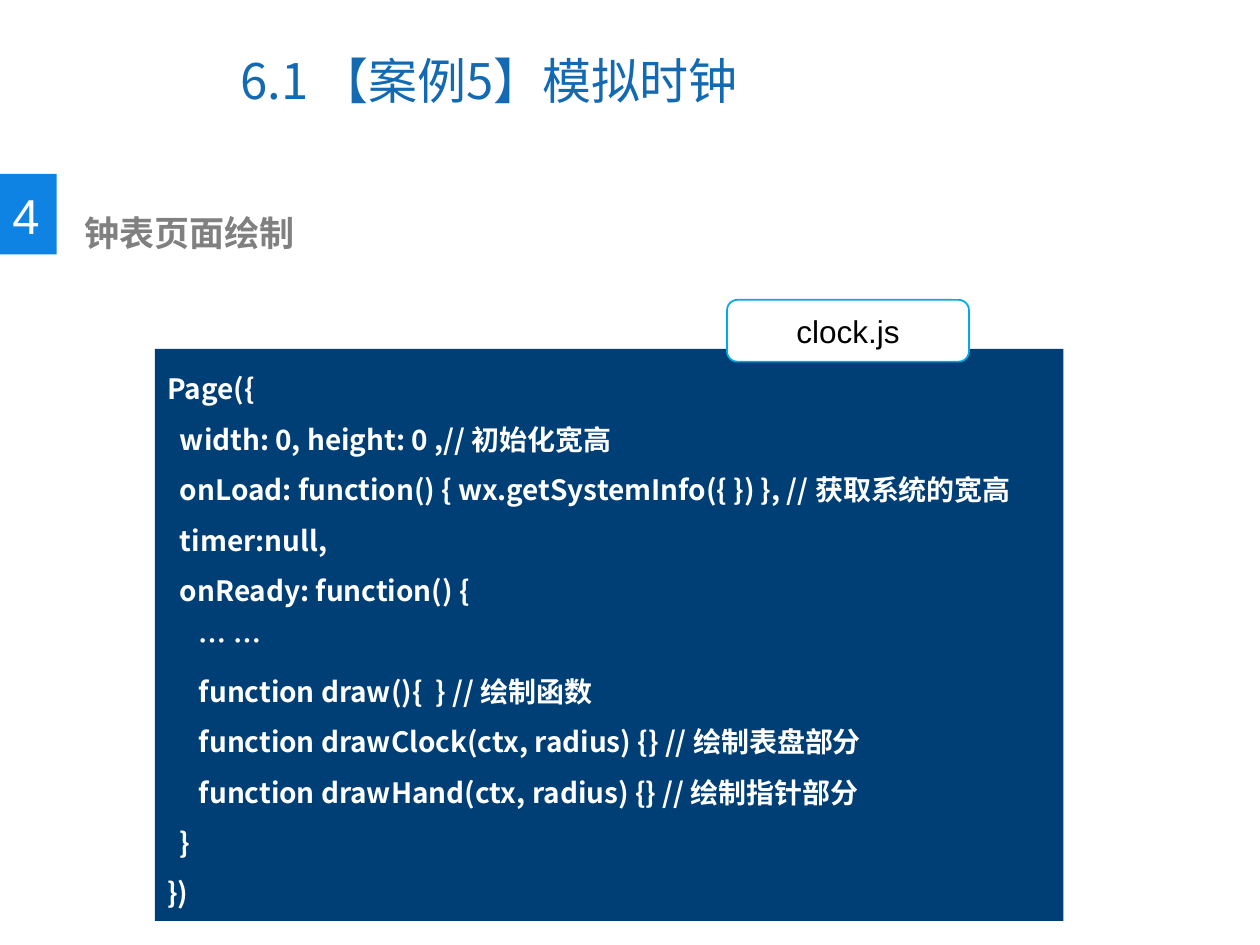
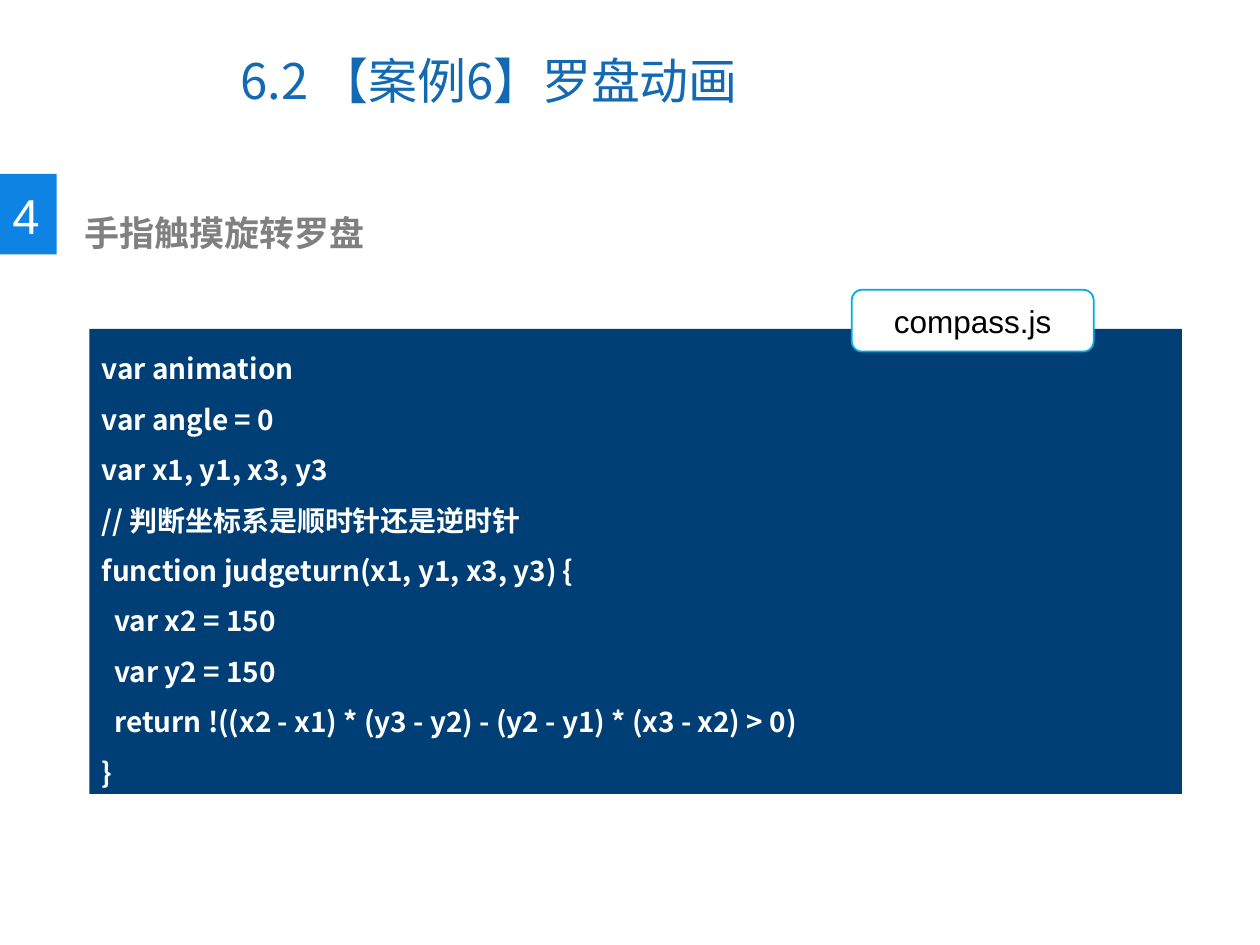
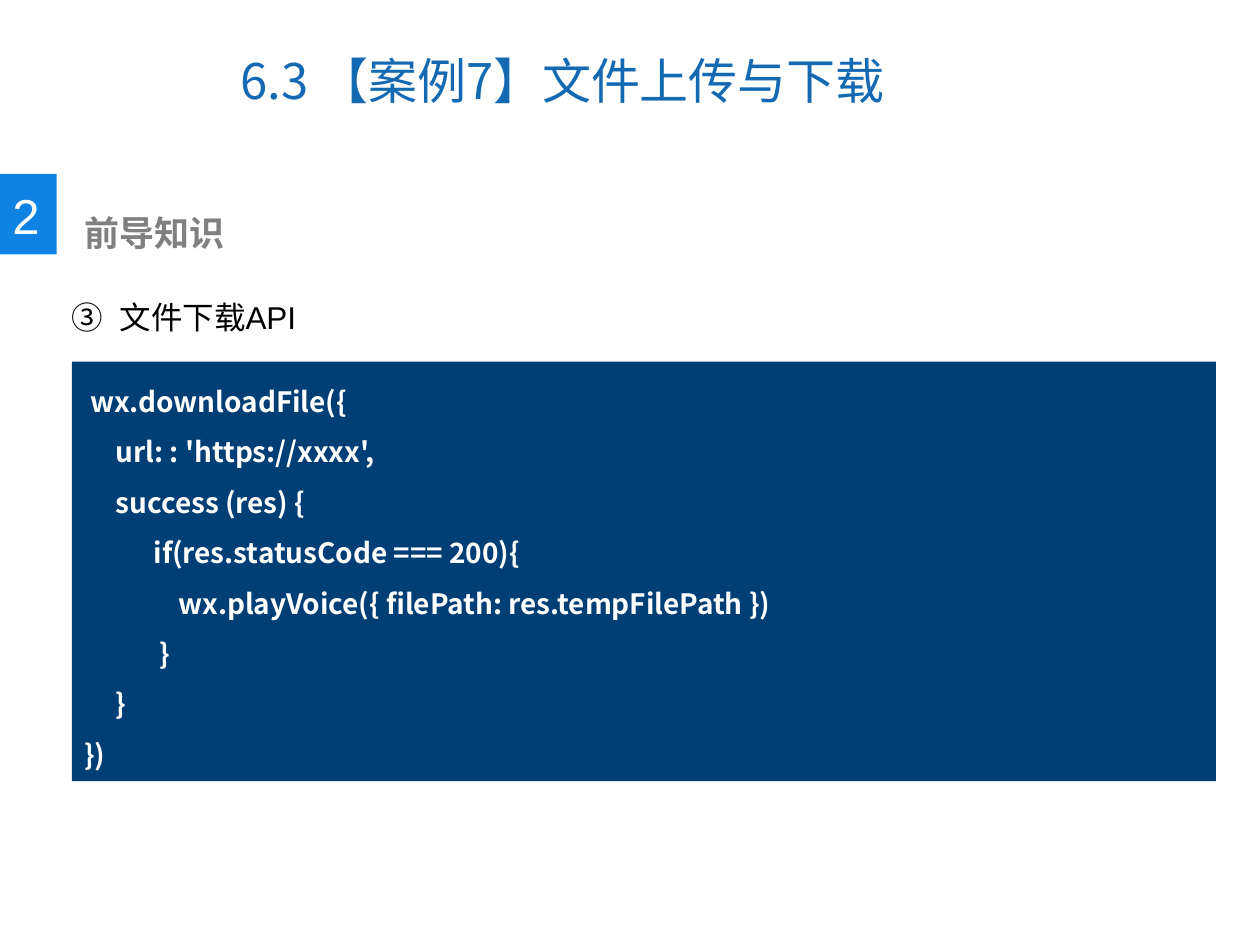
"""Build three code slides of a course on mini program cases."""
from dataclasses import dataclass, field

from lxml.etree import SubElement
from pptx import Presentation
from pptx.dml.color import RGBColor
from pptx.enum.shapes import MSO_SHAPE
from pptx.enum.text import MSO_ANCHOR, PP_ALIGN
from pptx.oxml.ns import qn
from pptx.shapes.autoshape import Shape
from pptx.slide import Slide
from pptx.util import Inches, Pt

COLORS = {
    "title": "1369B2",
    "badge": "0F83E3",
    "head": "808080",
    "code": "003F75",
    "edge": "00ACE6",
    "white": "FFFFFF",
    "black": "000000",
}
SANS = "Arial"
HAN = "Noto Sans CJK SC"
SPACE = 0.05

Box = tuple[float, float, float, float]


@dataclass(frozen=True)
class Style:
    """Look of a run and its line pitch in points."""
    size: int
    color: str
    font: str = SANS
    bold: bool = False
    pitch: float | None = None


TITLE = Style(28, "title", HAN, pitch=33)
BADGE = Style(28, "white")
HEAD = Style(20, "head", bold=True)
CODE = Style(16, "white", HAN, True, 28.8)
LABEL = Style(18, "black")
ITEM = Style(18, "black", pitch=43)


@dataclass(frozen=True)
class Line:
    """Code line with its indent in spaces."""
    text: str
    indent: int = 0


@dataclass(frozen=True)
class Page:
    """Content of one slide."""
    title: str
    number: str
    head: str
    panel: Box
    lines: list[Line] = field(default_factory=list)
    width: float = 5.16
    label: str = ""
    tab: tuple[float, float] = (0, 0)
    item: str = ""
    start: int = 1


PAGES = [
    Page("6.1 【案例5】模拟时钟", "4", "钟表页面绘制", (1.23, 2.77, 7.21, 4.54), [
        Line("Page({"),
        Line("width: 0, height: 0 ,// 初始化宽高", 2),
        Line("onLoad: function() { wx.getSystemInfo({ }) }, // 获取系统的宽高", 2),
        Line("timer:null,", 2),
        Line("onReady: function() {", 2),
        Line("… …", 5),
        Line("function draw(){  } // 绘制函数", 5),
        Line("function drawClock(ctx, radius) {} // 绘制表盘部分", 5),
        Line("function drawHand(ctx, radius) {} // 绘制指针部分", 5),
        Line("}", 2),
        Line("})"),
    ], label="clock.js", tab=(5.77, 2.38)),
    Page("6.2 【案例6】罗盘动画", "4", "手指触摸旋转罗盘", (0.71, 2.61, 8.67, 3.69), [
        Line("var animation"),
        Line("var angle = 0"),
        Line("var x1, y1, x3, y3"),
        Line("// 判断坐标系是顺时针还是逆时针"),
        Line("function judgeturn(x1, y1, x3, y3) {"),
        Line("var x2 = 150", 2),
        Line("var y2 = 150", 2),
        Line("return !((x2 - x1) * (y3 - y2) - (y2 - y1) * (x3 - x2) > 0)", 2),
        Line("}"),
    ], label="compass.js", tab=(6.76, 2.3)),
    Page("6.3 【案例7】文件上传与下载", "2", "前导知识", (0.57, 2.87, 9.08, 3.33), [
        Line("wx.downloadFile({", 1),
        Line("url: : 'https://xxxx',", 5),
        Line("success (res) {", 5),
        Line("if(res.statusCode === 200){", 11),
        Line("wx.playVoice({ filePath: res.tempFilePath })", 15),
        Line("}", 12),
        Line("}", 5),
        Line("})"),
    ], width=5.4, item="文件下载API", start=3),
]


def tint(name: str) -> RGBColor:
    """Return a named color."""
    return RGBColor.from_string(COLORS[name])


def write(shape: Shape, lines: list[Line], style: Style,
          anchor: MSO_ANCHOR = MSO_ANCHOR.TOP, align: PP_ALIGN = PP_ALIGN.LEFT,
          wrap: bool = True) -> None:
    """Fill a shape with styled lines."""
    frame = shape.text_frame
    frame.word_wrap = wrap
    frame.vertical_anchor = anchor
    for place, line in enumerate(lines):
        para = frame.add_paragraph() if place else frame.paragraphs[0]
        para.alignment = align
        if style.pitch:
            para.line_spacing = Pt(style.pitch)
        if line.indent:
            para._p.get_or_add_pPr().set("marL", str(Inches(line.indent * SPACE)))
        run = para.add_run()
        run.text = line.text
        font = run.font
        font.size, font.bold, font.name = Pt(style.size), style.bold, style.font
        font.color.rgb = tint(style.color)
        SubElement(run._r.get_or_add_rPr(), qn("a:ea"), typeface=HAN)


def add_text(slide: Slide, box: Box, line: Line, style: Style,
             anchor: MSO_ANCHOR = MSO_ANCHOR.TOP, wrap: bool = True) -> Shape:
    """Add a text box with one line."""
    shape = slide.shapes.add_textbox(*map(Inches, box))
    write(shape, [line], style, anchor, wrap=wrap)
    return shape


def add_block(slide: Slide, box: Box, fill: str, edge: str = "",
              kind: MSO_SHAPE = MSO_SHAPE.RECTANGLE) -> Shape:
    """Add a flat filled shape."""
    shape = slide.shapes.add_shape(kind, *map(Inches, box))
    shape.shadow.inherit = False
    shape.fill.solid()
    shape.fill.fore_color.rgb = tint(fill)
    if edge:
        shape.line.color.rgb = tint(edge)
        shape.line.width = Pt(1)
    else:
        shape.line.fill.background()
    return shape


def add_item(slide: Slide, text: str, start: int) -> None:
    """Add a list item with a circled number."""
    shape = add_text(slide, (0.47, 2.02, 8.65, 0.71), Line(text), ITEM)
    props = shape.text_frame.paragraphs[0]._p.get_or_add_pPr()
    props.set("marL", str(Inches(0.38)))
    props.set("indent", str(-Inches(0.38)))
    SubElement(props, qn("a:buAutoNum"), type="circleNumDbPlain", startAt=str(start))


def draw(slide: Slide, page: Page) -> None:
    """Draw one page."""
    add_text(slide, (1.81, 0.21, page.width, 0.85), Line(page.title), TITLE,
             MSO_ANCHOR.MIDDLE)
    add_block(slide, (0, 1.38, 0.45, 0.64), "badge")
    add_text(slide, (0, 1.42, 0.42, 0.57), Line(page.number), BADGE, wrap=False)
    add_text(slide, (0.47, 1.63, 5.14, 0.44), Line(page.head, 2), HEAD)
    if page.item:
        add_item(slide, page.item, page.start)
    write(add_block(slide, page.panel, "code"), page.lines, CODE)
    if page.label:
        tab = add_block(slide, (*page.tab, 1.92, 0.49), "white", "edge",
                        MSO_SHAPE.ROUNDED_RECTANGLE)
        write(tab, [Line(page.label)], LABEL, MSO_ANCHOR.MIDDLE, PP_ALIGN.CENTER)


def main() -> None:
    """Build and save the deck."""
    deck = Presentation()
    deck.slide_width, deck.slide_height = Inches(10), Inches(7.5)
    for page in PAGES:
        draw(deck.slides.add_slide(deck.slide_layouts[6]), page)
    deck.save("out.pptx")


if __name__ == "__main__":
    main()
